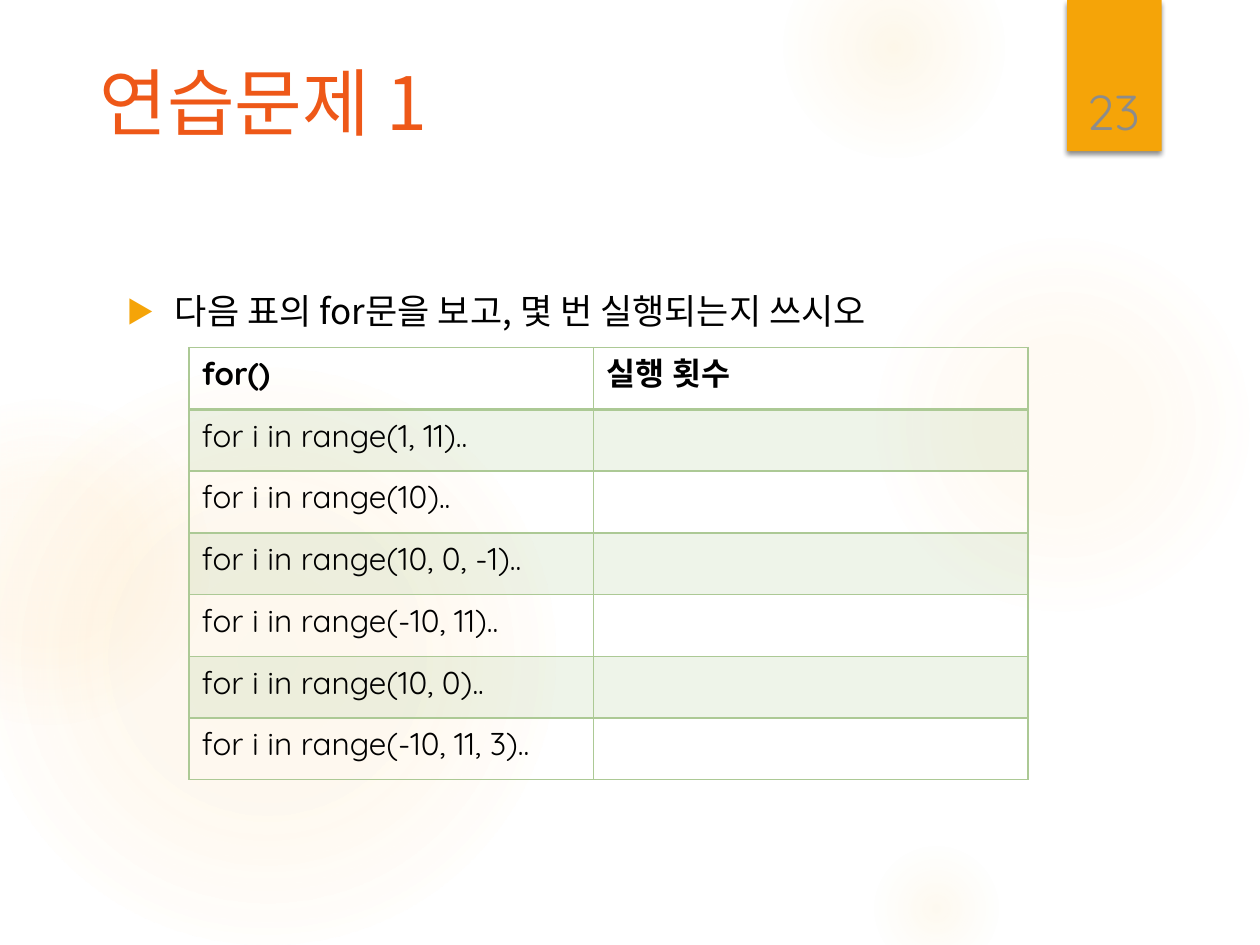
from dataclasses import dataclass

from pptx import Presentation
from pptx.dml.color import RGBColor as Rgb
from pptx.enum.shapes import MSO_SHAPE as Kind
from pptx.enum.text import MSO_ANCHOR as Anchor, MSO_AUTO_SIZE as Auto, PP_ALIGN as Align
from pptx.oxml import parse_xml
from pptx.oxml.ns import nsdecls
from pptx.util import Inches, Pt


@dataclass(frozen=True)
class Theme:
    glow: str = "FAC96A"
    gold: str = "F5A408"
    head: str = "EE5818"
    ink: str = "000000"
    gray: str = "8C8C8C"
    green: str = "ACC995"
    hangul: str = "Noto Sans CJK KR"
    latin: str = "Quicksand"
    title: int = 42
    number: int = 28
    body: int = 20
    cell: int = 18


THEME = Theme()

# Left, top, diameter, then gradient stops as (place, opacity) in percent
GLOWS = [
    (6.89, 1.83, 3.08, [(0, 7), (36, 6), (69, 0)]),
    (6.22, -0.5, 1.75, [(0, 14), (36, 7), (73, 0)]),
    (6.89, 6.67, 1.08, [(0, 10), (31, 5), (66, 0)]),
    (-0.17, 2.92, 4.58, [(0, 11), (36, 10), (75, 0)]),
    (-0.92, 3.17, 2.58, [(0, 8), (36, 8), (72, 0)]),
]
HEADS = ["for()", "실행 횟수"]
LOOPS = ["1, 11", "10", "10, 0, -1", "-10, 11", "10, 0", "-10, 11, 3"]


def node(tag, attrs="", inner=""):
    return parse_xml(f"<a:{tag} {nsdecls('a')} {attrs}>{inner}</a:{tag}>")


def color(code, alpha=100):
    return f'<a:srgbClr val="{code}"><a:alpha val="{alpha * 1000}"/></a:srgbClr>'


def box(left, top, width, height):
    return [Inches(n) for n in (left, top, width, height)]


def add_run(para, text, size, tone, font, bold=False):
    run = para.add_run()
    run.text = text
    run.font.size = Pt(size)
    run.font.name = font
    run.font.bold = bold
    run.font.color.rgb = Rgb.from_string(tone)
    run.font._element.append(node("ea", f'typeface="{font}"'))


def add_shape(slide, kind, area):
    shape = slide.shapes.add_shape(kind, *box(*area))
    shape.shadow.inherit = False
    shape.line.fill.background()
    return shape


def add_glow(slide, left, top, size, stops):
    shape = add_shape(slide, Kind.OVAL, (left, top, size, size))
    marks = "".join(f'<a:gs pos="{pos * 1000}">{color(THEME.glow, alpha)}</a:gs>'
                    for pos, alpha in stops)
    center = '<a:fillToRect l="50000" t="50000" r="50000" b="50000"/>'
    fill = node("gradFill", 'rotWithShape="1"',
                f'<a:gsLst>{marks}</a:gsLst><a:path path="circle">{center}</a:path>')
    shape.element.spPr.find(".//{*}prstGeom").addnext(fill)


def add_tab(slide):
    shape = add_shape(slide, Kind.RECTANGLE, (8.47, 0, 0.75, 1.2))
    shape.fill.solid()
    shape.fill.fore_color.rgb = Rgb.from_string(THEME.gold)
    shade = node("outerShdw", f'blurRad="{Pt(3)}" dist="{Pt(2)}" dir="5400000" rotWithShape="0"',
                 color("000000", 45))
    shape.element.spPr.find("{*}effectLst").append(shade)


def add_title(slide, text):
    title = slide.shapes.title
    title.left, title.top, title.width, title.height = box(0.69, 0.4, 9.08, 1.45)
    title.element.getparent().append(title.element)  # in front of the glows
    frame = title.text_frame
    frame.auto_size = Auto.NONE
    frame.vertical_anchor = Anchor.TOP
    para = frame.paragraphs[0]
    para.alignment = Align.LEFT
    add_run(para, text, THEME.title, THEME.head, THEME.hangul)


def add_text(slide, area, anchor=Anchor.TOP):
    frame = slide.shapes.add_textbox(*box(*area)).text_frame
    frame.word_wrap = True
    frame.vertical_anchor = anchor
    return frame.paragraphs[0]


def add_bullet(para):
    props = para._p.get_or_add_pPr()
    props.set("marL", str(Inches(0.38)))
    props.set("indent", str(Inches(-0.38)))
    props.append(node("buClr", "", color(THEME.gold)))
    props.append(node("buSzPct", 'val="80000"'))
    props.append(node("buFont", f'typeface="{THEME.hangul}"'))
    props.append(node("buChar", 'char="▶"'))


def style_cell(cell, row):
    props = cell._tc.get_or_add_tcPr()
    # The rule under the header is thicker
    widths = {"L": 1, "R": 1, "T": 2 if row == 1 else 1, "B": 2 if row == 0 else 1}
    for side, width in widths.items():
        props.append(node(f"ln{side}", f'w="{Pt(width)}"',
                          f"<a:solidFill>{color(THEME.green)}</a:solidFill>"))
    if row % 2:
        props.append(node("solidFill", "", color(THEME.green, 20)))
    else:
        props.append(node("noFill"))


def add_table(slide, rows):
    table = slide.shapes.add_table(len(rows), 2, *box(1.5, 2.76, 6.66, 3.43)).table
    table.horz_banding = False
    for col, width in zip(table.columns, (3.21, 3.45)):
        col.width = Inches(width)
    for r, texts in enumerate(rows):
        table.rows[r].height = Inches(0.49)
        for c, text in enumerate(texts):
            cell = table.cell(r, c)
            style_cell(cell, r)
            para = cell.text_frame.paragraphs[0]
            if text:
                add_run(para, text, THEME.cell, THEME.ink, THEME.latin, bold=r == 0)
            else:
                para.font.size = Pt(THEME.cell)


def main():
    deck = Presentation()
    deck.slide_width, deck.slide_height = Inches(10), Inches(7.5)
    slide = deck.slides.add_slide(deck.slide_layouts[5])

    # Backdrop
    for glow in GLOWS:
        add_glow(slide, *glow)
    add_tab(slide)

    # Title and task
    add_title(slide, "연습문제 1")
    task = add_text(slide, (0.91, 2.25, 7.34, 4.59))
    add_bullet(task)
    add_run(task, "다음 표의 for문을 보고, 몇 번 실행되는지 쓰시오",
            THEME.body, THEME.ink, THEME.hangul)

    # Loops, with empty cells for the answers
    add_table(slide, [HEADS] + [(f"for i in range({args})..", "") for args in LOOPS])

    # Page number
    page = add_text(slide, (8.49, 0.32, 0.69, 0.84), Anchor.BOTTOM)
    page.alignment = Align.CENTER
    add_run(page, "23", THEME.number, THEME.gray, THEME.latin)

    deck.save("out.pptx")


if __name__ == "__main__":
    main()
